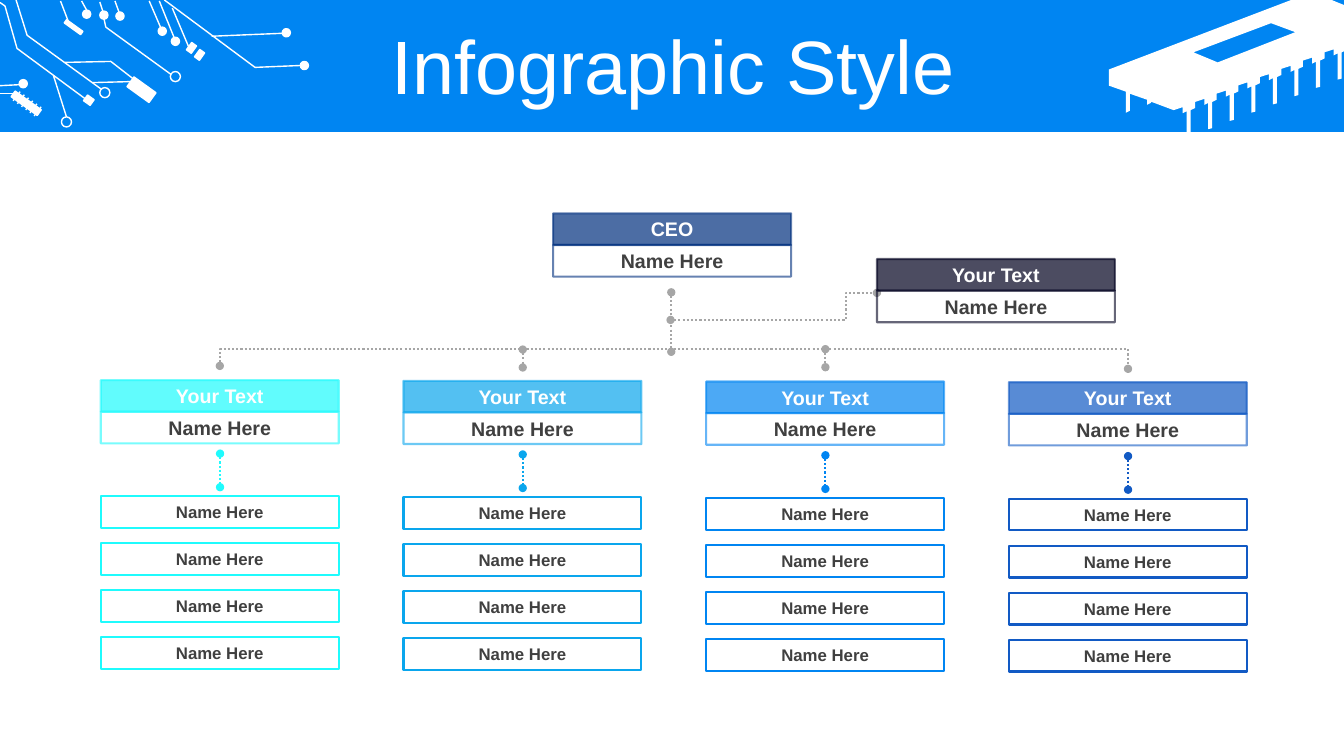
from lxml.etree import SubElement
from pptx import Presentation
from pptx.dml.color import RGBColor
from pptx.enum.dml import MSO_LINE
from pptx.enum.shapes import MSO_CONNECTOR, MSO_SHAPE
from pptx.enum.text import MSO_ANCHOR, PP_ALIGN
from pptx.oxml.ns import qn
from pptx.util import Pt

THEME = {
    "font": "Arial", "title": 54, "head": 14, "leaf": 12,
    "white": "FFFFFF", "banner": "0085F2", "text": "404040", "link": "A6A6A6",
    "ceo": "00307E", "aide": "00001F",
    "teams": ["1FFBFD", "0AA6ED", "0085F2", "125AC4"],
}
WHITE, LINK = THEME["white"], THEME["link"]
WIDE, TALL = 170, 22.6  # one box of the chart
TILT = 35.7  # slope of the circuit parts


def ink(form, tone, width=1, fill=None, alpha=100):
    """Set line, fill and opacity, with no shadow."""
    form.line.color.rgb = RGBColor.from_string(tone)
    form.line.width = Pt(width)
    props = form._element.spPr
    if alpha < 100:
        for part in props.iter(qn("a:srgbClr")):
            SubElement(part, qn("a:alpha"), val=str(alpha * 1000))
    if fill:
        form.fill.solid()
        form.fill.fore_color.rgb = RGBColor.from_string(fill)
    elif hasattr(form, "fill"):
        form.fill.background()
    SubElement(props, qn("a:effectLst"))


def write(form, words, size, tone, bold=True):
    """Put one centred line of text in a shape."""
    frame = form.text_frame
    frame.word_wrap = True
    frame.vertical_anchor = MSO_ANCHOR.MIDDLE
    para = frame.paragraphs[0]
    para.alignment = PP_ALIGN.CENTER
    run = para.add_run()
    run.text = words
    run.font.name = THEME["font"]
    run.font.size = Pt(size)
    run.font.bold = bold
    run.font.color.rgb = RGBColor.from_string(tone)


deck = Presentation()
deck.slide_width, deck.slide_height = Pt(960), Pt(540)
slide = deck.slides.add_slide(deck.slide_layouts[6])
shapes = slide.shapes

# Banner
band = shapes.add_shape(MSO_SHAPE.RECTANGLE, 0, 0, Pt(960), Pt(94.3))
ink(band, THEME["banner"], fill=THEME["banner"])
band.line.fill.background()

# Chip: body, eight pins at an equal pitch, and a window
pin = [(958.3, 37.4), (958.3, 56.2), (955.4, 56.9), (955.4, 38.2),
       (952.6, 39.6), (952.6, 35.3), (946.1, 37.4), (946.1, 41.8)]
edge = [(951.1, 0), (960, 3.6), (960, 36.7)]
edge += [(x - 15.4 * k, y + 5.9 * k) for k in range(8) for x, y in pin]
edge.pop()
edge += [(822.2, 72.7), (822.2, 73.4), (819.4, 74.9), (819.4, 71.3), (807.1, 67),
         (807.1, 79.2), (804.2, 80.6), (804.2, 65.5), (792, 61.2), (792, 49.7)]
hole = [(907.9, 16.6), (852.5, 37.4), (869.8, 44.6), (925.2, 23)]
pen = shapes.build_freeform(Pt(922.3), Pt(0))
pen.add_line_segments([(Pt(x), Pt(y)) for x, y in edge])
pen.move_to(Pt(hole[0][0]), Pt(hole[0][1]))
pen.add_line_segments([(Pt(x), Pt(y)) for x, y in hole[1:]])
chip = pen.convert_to_shape()
ink(chip, WHITE, fill=WHITE)
chip.line.fill.background()

# Circuit bars: left, top, width, height
bars = [(91.4, 59.8, 19.4, 8.6), (45.4, 18, 14.4, 2.9), (60.5, 69.1, 5.8, 5),
        (134.6, 31, 4.3, 6.5), (140.4, 36, 4.3, 6.5), (7.2, 71.3, 23, 5)]
for place in bars:
    bar = shapes.add_shape(MSO_SHAPE.RECTANGLE, *map(Pt, place))
    bar.rotation = TILT
    ink(bar, WHITE, fill=WHITE)

# Circuit dots and rings, by centre
dots = [(217.4, 46.8), (204.5, 23.4), (61.9, 10.1), (74.2, 10.8),
        (85.7, 11.5), (16.6, 59.8), (125.3, 29.5), (115.9, 22.3)]
rings = [(125.3, 54.7), (74.9, 66.2), (47.5, 87.1)]
for spots, size, fill in [(dots, 5.8, WHITE), (rings, 7.2, None)]:
    for x, y in spots:
        spot = shapes.add_shape(MSO_SHAPE.OVAL, Pt(x - size / 2), Pt(y - size / 2),
                                Pt(size), Pt(size))
        ink(spot, WHITE, fill=fill)

# Circuit traces
traces = [
    [(117.4, 0), (182.2, 48.2), (215.3, 46.8)],
    [(43.2, 0.7), (49, 15.8)], [(58.3, 0.7), (61.9, 7.2)],
    [(71.3, 1.4), (73.4, 7.9)], [(82.1, 0.7), (85, 8.6)],
    [(106.6, 0.7), (115.9, 22.3)], [(113.8, 0.7), (124.6, 27.4)],
    [(151.2, 25.9), (201.6, 23.8)], [(123.1, 5.8), (134.6, 33.1)],
    [(0, 61.2), (13.7, 60.5)], [(0, 67), (10.1, 67)],
    [(38.2, 54), (47.5, 83.5)], [(66.2, 59), (93.6, 58.3)],
    [(11.5, 0), (19.4, 25.2), (72, 63.4)],
    [(0, 1.8), (3.6, 4.3), (12.2, 34.6), (61.9, 71.3)],
    [(46.1, 44.6), (79.2, 43.9), (95, 56.2)],
    [(74.2, 13), (75.6, 19.4), (122.4, 53.3)],
]
traces += [[(9.4 + 3 * k, 72 + 2.16 * k), (14.4 + 3 * k, 65.5 + 2.16 * k)]
           for k in range(6)]
wires = [(WHITE, trace) for trace in traces]

# Dotted links of the chart
wires += [
    (LINK, [(157, 261.4), (157, 249.5), (805.7, 249.5), (805.7, 263.5)]),
    (LINK, [(479.5, 208.8), (479.5, 251.3)]),
    (LINK, [(373.4, 249.7), (373.4, 262.5)]),
    (LINK, [(589.6, 249.4), (589.6, 262.3)]),
    (LINK, [(479, 228.5), (604.1, 228.5), (604.1, 209.2), (626.4, 209.2)]),
]
for i, tone in enumerate(THEME["teams"]):
    mid = 157.2 + 216.2 * i
    wires.append((tone, [(mid, 324 + 0.6 * i), (mid, 348 + 0.6 * i)]))

for tone, points in wires:
    spots = [(Pt(x), Pt(y)) for x, y in points]
    if len(spots) == 2:
        wire = shapes.add_connector(MSO_CONNECTOR.STRAIGHT, *spots[0], *spots[1])
    else:
        pen = shapes.build_freeform(*spots[0])
        pen.add_line_segments(spots[1:], close=False)
        wire = pen.convert_to_shape()
    ink(wire, tone, 1 if tone == WHITE else 1.5)
    if tone != WHITE:
        wire.line.dash_style = MSO_LINE.ROUND_DOT
        for end in ("a:headEnd", "a:tailEnd"):
            SubElement(wire.line._ln, qn(end), type="oval")

# Title
title = shapes.add_textbox(Pt(25.2), Pt(21.6), Pt(911.5), Pt(56.9))
write(title, "Infographic Style", THEME["title"], WHITE, bold=False)
para = title.text_frame.paragraphs[0]
para.line_spacing, para.space_before = 0.9, Pt(10)

# Boxes: left, top, tone, words, size, opacity of the line, filled
boxes = []
cards = [(395.1, 152.4, THEME["ceo"], "CEO"), (626.4, 185, THEME["aide"], "Your Text")]
for i, tone in enumerate(THEME["teams"]):
    left = 72 + 216.2 * i
    cards.append((left, 271.5 + 0.5 * i, tone, "Your Text"))
    for k in range(4):
        top = 354.5 + 0.6 * i + 33.6 * k
        boxes.append((left, top, tone, "Name Here", THEME["leaf"], 100, False))
for left, top, tone, role in cards:
    boxes.append((left, top, tone, role, THEME["head"], 60, True))
    boxes.append((left, top + TALL, tone, "Name Here", THEME["head"], 60, False))

for left, top, tone, words, size, alpha, full in boxes:
    box = shapes.add_shape(MSO_SHAPE.RECTANGLE, Pt(left), Pt(top), Pt(WIDE), Pt(TALL))
    ink(box, tone, 1.5, tone if full else None, alpha)
    if full:
        shade = box._element.spPr.find(qn("a:solidFill")).find(qn("a:srgbClr"))
        SubElement(shade, qn("a:alpha"), val="70000")
    write(box, words, size, WHITE if full else THEME["text"])

deck.save("out.pptx")
